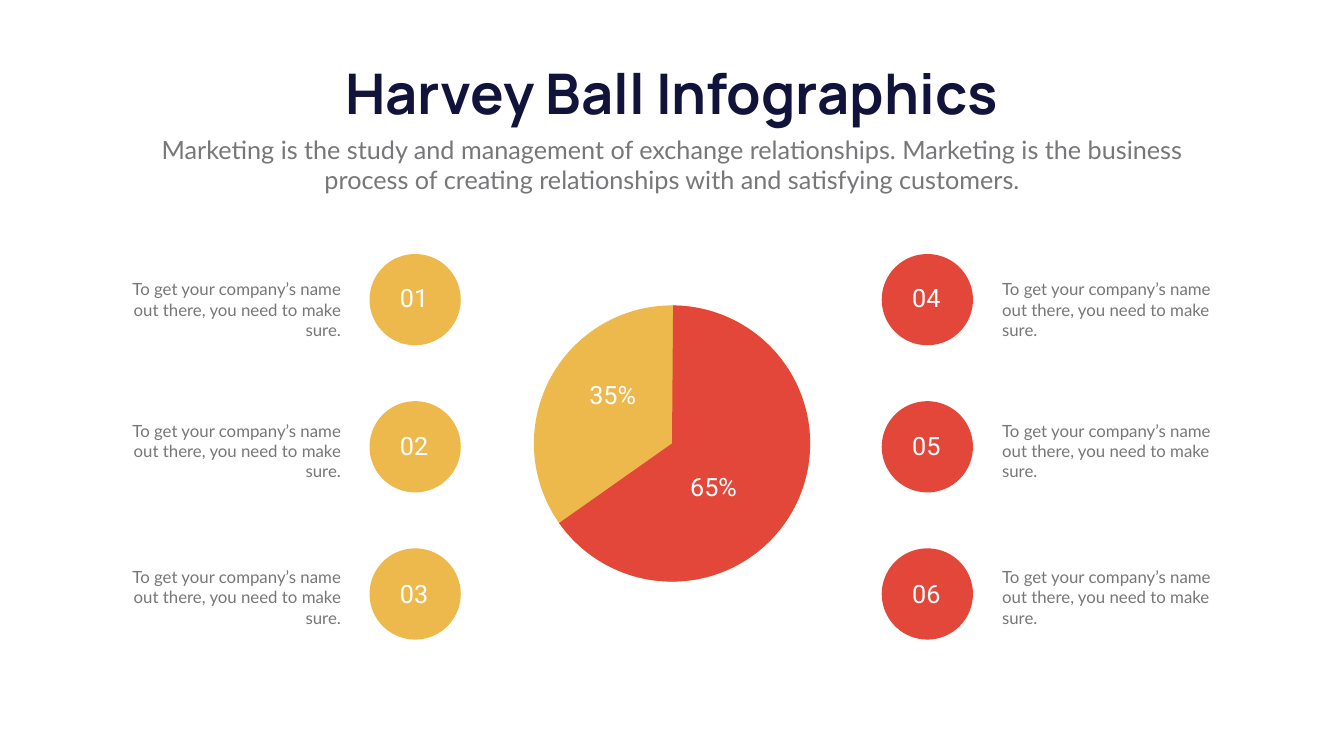
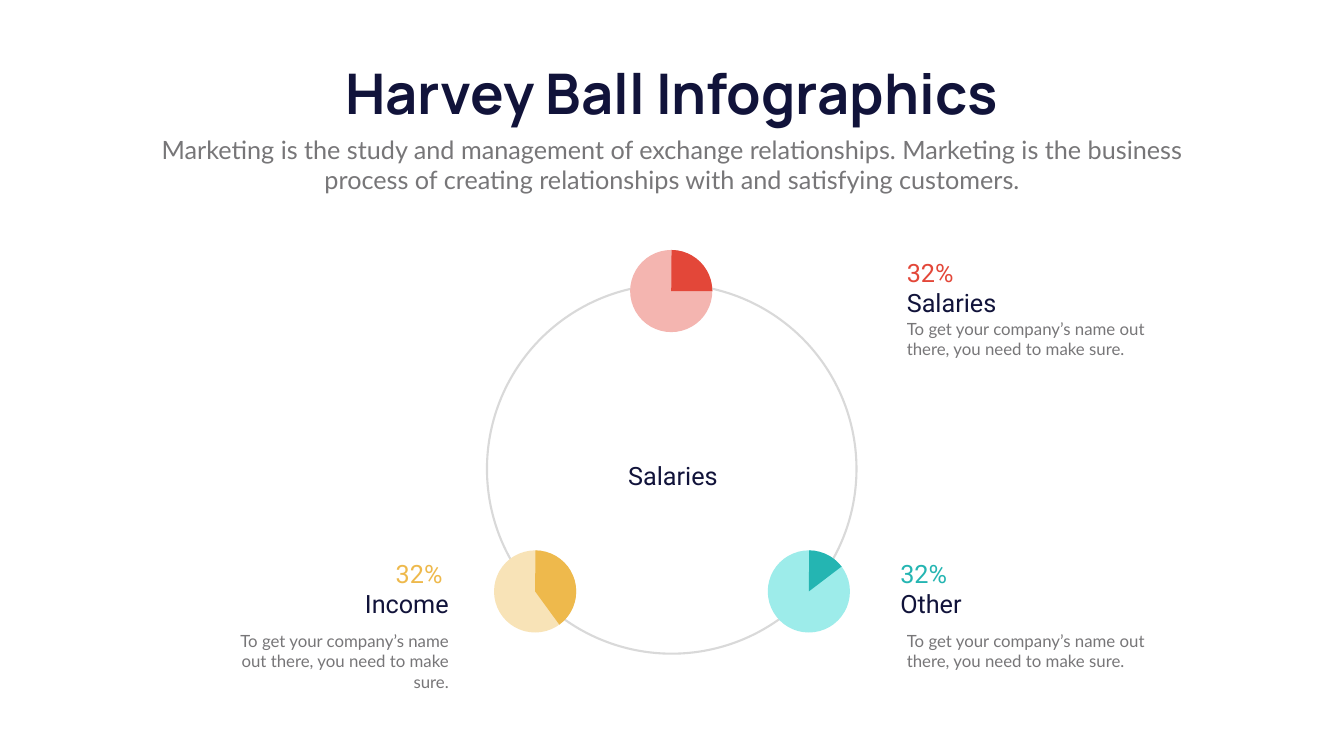
"""Build two Harvey ball infographic slides."""
import pptx
import pptx.dml.color
import pptx.enum.shapes
import pptx.enum.text
import pptx.util

Inches = pptx.util.Inches
Pt = pptx.util.Pt
RGBColor = pptx.dml.color.RGBColor
MSO_SHAPE = pptx.enum.shapes.MSO_SHAPE
ALIGN = pptx.enum.text.PP_ALIGN
AUTO_SIZE = pptx.enum.text.MSO_AUTO_SIZE
ANCHOR = pptx.enum.text.MSO_ANCHOR

COLORS = {
    "navy": "11133A", "gray": "777678", "white": "FFFFFF", "ring": "D9D9D9",
    "red": "E34739", "yellow": "EEB94C", "teal": "24B5B2",
    "light red": "F4B5B0", "light yellow": "F8E3B7", "light teal": "9DECEA",
}
STYLES = {
    "title": {"name": "Manrope", "size": Pt(80), "bold": True},
    "subtitle": {"name": "Lato", "size": Pt(36)},
    "caption": {"name": "Lato", "size": Pt(24)},
    "label": {"name": "Roboto", "size": Pt(36)},
}
TITLE = "Harvey Ball Infographics"
SUBTITLE = ("Marketing is the study and management of exchange relationships. "
            "Marketing is the business process of creating relationships with and satisfying customers.")
CAPTION = "To get your company’s name out there, you need to make sure."
PIE_START = 270.45


def write_text(shape, style, lines, alignment=ALIGN.CENTER, wrap=True):
    frame = shape.text_frame
    frame_format = {"word_wrap": wrap, "auto_size": AUTO_SIZE.SHAPE_TO_FIT_TEXT,
                    "vertical_anchor": ANCHOR.TOP}
    for attribute, value in frame_format.items():
        setattr(frame, attribute, value)
    for index, (text, color) in enumerate(lines):
        paragraph = frame.add_paragraph() if index else frame.paragraphs[0]
        paragraph.alignment = alignment
        run = paragraph.add_run()
        run.text = text
        for attribute, value in STYLES[style].items():
            setattr(run.font, attribute, value)
        run.font.color.rgb = RGBColor.from_string(COLORS[color])


def add_disc(slide, left, top, size, color, wedge_color=None, wedge_end=0):
    layers = [(MSO_SHAPE.OVAL, color)]
    if wedge_color:
        layers.append((MSO_SHAPE.PIE, wedge_color))
    for kind, fill_color in layers:
        shape = slide.shapes.add_shape(kind, Inches(left), Inches(top), Inches(size), Inches(size))
        shape.shadow.inherit = False
        shape.fill.solid()
        shape.fill.fore_color.rgb = RGBColor.from_string(COLORS[fill_color])
        shape.line.fill.background()
        if kind == MSO_SHAPE.PIE:
            for index, angle in enumerate((PIE_START, wedge_end)):
                shape.adjustments[index] = angle * 0.6


presentation = pptx.Presentation()
presentation.slide_width = Inches(26.66)
presentation.slide_height = Inches(15)

slides = []
for number in range(2):
    slide = presentation.slides.add_slide(presentation.slide_layouts[5])
    title = slide.shapes.title
    title_place = {"left": 6.14, "top": 1.12, "width": 14.37, "height": 1.45}
    for attribute, value in title_place.items():
        setattr(title, attribute, Inches(value))
    write_text(title, "title", [(TITLE, "navy")], wrap=False)
    subtitle = slide.shapes.add_textbox(Inches(2.92), Inches(2.61), Inches(20.82), Inches(1.31))
    write_text(subtitle, "subtitle", [(SUBTITLE, "gray")])
    slides.append(slide)
share_slide, ring_slide = slides

add_disc(share_slide, 10.59, 6.06, 5.48, "yellow", "red", 144.83)
for text, left, top in (("65%", 13.44, 9.3), ("35%", 11.44, 7.47)):
    share = share_slide.shapes.add_textbox(Inches(left), Inches(top), Inches(1.43), Inches(0.71))
    write_text(share, "label", [(text, "white")])

columns = [(7.33, 2.06, "yellow", ALIGN.RIGHT), (17.49, 19.78, "red", ALIGN.LEFT)]
caption_tops = [5.49, 8.29, 11.2]
for column, (disc_left, caption_left, color, alignment) in enumerate(columns):
    for row, caption_top in enumerate(caption_tops):
        add_disc(share_slide, disc_left, 5.04 + 2.92 * row, 1.81, color)
        step = share_slide.shapes.add_textbox(
            Inches(disc_left + 0.17), Inches(5.56 + 2.935 * row), Inches(1.43), Inches(0.71))
        write_text(step, "label", [(f"{column * 3 + row + 1:02}", "white")])
        caption = share_slide.shapes.add_textbox(
            Inches(caption_left), Inches(caption_top), Inches(4.8), Inches(0.91))
        write_text(caption, "caption", [(CAPTION, "gray")], alignment)

ring = ring_slide.shapes.add_shape(
    MSO_SHAPE.OVAL, Inches(9.66), Inches(5.64), Inches(7.33), Inches(7.33))
ring.shadow.inherit = False
ring.fill.background()
ring.line.color.rgb = RGBColor.from_string(COLORS["ring"])
ring.line.width = Pt(3)
center = ring_slide.shapes.add_textbox(Inches(11.72), Inches(9.09), Inches(3.26), Inches(0.71))
write_text(center, "label", [("Salaries", "navy")])

balls = [
    ("yellow", 9.8, 10.92, 53.88, "32% ", "Income", (5.74, 11.03), (4.13, 12.47, 4.87), ALIGN.RIGHT),
    ("red", 12.5, 4.96, 0.23, "32%", "Salaries", (17.89, 5.06), (17.89, 6.28, 5.04), ALIGN.LEFT),
    ("teal", 15.23, 10.92, 322.72, "32%", "Other", (17.76, 11.03), (17.89, 12.47, 5.04), ALIGN.LEFT),
]
for color, left, top, wedge_end, percent, name, label_place, caption_place, alignment in balls:
    add_disc(ring_slide, left, top, 1.63, f"light {color}", color, wedge_end)
    label = ring_slide.shapes.add_textbox(*map(Inches, (*label_place, 3.26, 1.31)))
    write_text(label, "label", [(percent, color), (name, "navy")], alignment)
    caption = ring_slide.shapes.add_textbox(*map(Inches, (*caption_place, 0.91)))
    write_text(caption, "caption", [(CAPTION, "gray")], alignment)

presentation.save("out.pptx")
